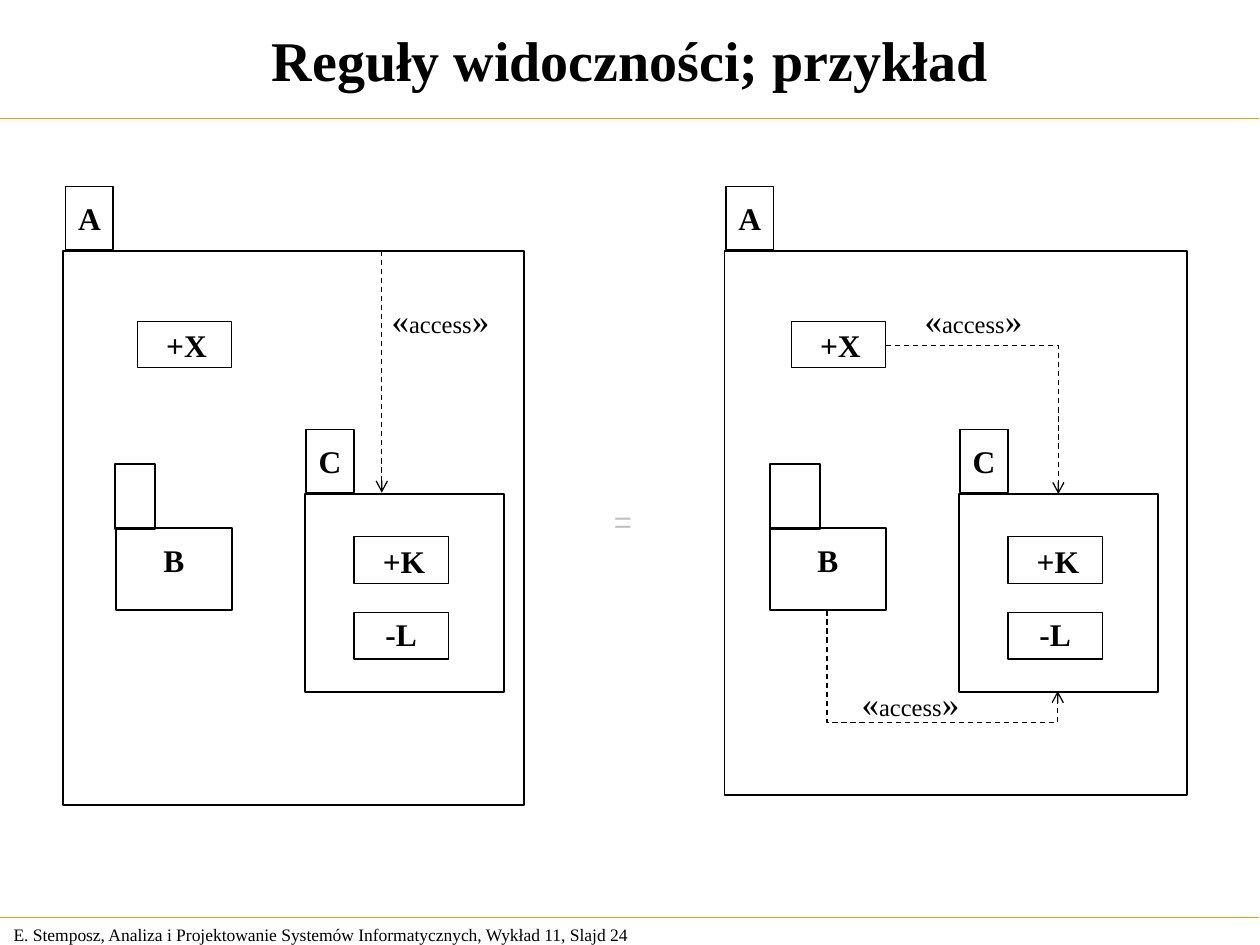
from pptx import Presentation
from pptx.dml.color import RGBColor
from pptx.enum.dml import MSO_LINE
from pptx.enum.shapes import MSO_CONNECTOR, MSO_SHAPE
from pptx.enum.text import MSO_ANCHOR, MSO_AUTO_SIZE, PP_ALIGN
from pptx.oxml.ns import qn
from pptx.util import Inches, Pt
from lxml.etree import SubElement

SERIF = "Times New Roman"
BLACK, ORANGE, GREY = "000000", "FF9900", "C0C0C0"

TITLE = "Reguły widoczności; przykład"
FOOTER = "E. Stemposz, Analiza i Projektowanie Systemów Informatycznych, Wykład 11, Slajd 24"
ACCESS = [("«", 20), ("access", 14), ("»", 20)]

# Package A: tab and body of each diagram; inner elements move by "shift"
PANELS = [
    {"tab": (0.52, 1.48), "body": (0.5, 1.99, 3.66, 4.4), "shift": 0, "b_tab": (0.91, 0.32)},
    {"tab": (5.76, 1.48), "body": (5.75, 1.99, 3.67, 4.32), "shift": 5.19, "b_tab": (6.11, 0.4)},
]
TAB_SIZE = (0.38, 0.5)
CLASS_SIZE = (0.75, 0.37)
# name, box corner, label box
CLASSES = [
    ("+X", (1.09, 2.55), (1.22, 2.54, 0.52, 0.4)),
    ("+K", (2.81, 4.26), (2.94, 4.25, 0.53, 0.4)),
    ("-L", (2.81, 4.86), (2.96, 4.83, 0.45, 0.4)),
]
ACCESS_CORNERS = [(3.01, 2.32), (6.74, 5.36), (7.24, 2.32)]


def color(hex_code):
    return RGBColor.from_string(hex_code)


def write(frame, runs, bold=False, align=PP_ALIGN.LEFT, anchor=MSO_ANCHOR.TOP,
          inset=(0.1, 0.05), wrap=False, font=SERIF, ink=BLACK):
    """Fill a text frame with (text, size) runs in one paragraph."""
    frame.auto_size = MSO_AUTO_SIZE.NONE
    frame.word_wrap = wrap
    frame.vertical_anchor = anchor
    frame.margin_left = frame.margin_right = Inches(inset[0])
    frame.margin_top = frame.margin_bottom = Inches(inset[1])
    paragraph = frame.paragraphs[0]
    paragraph.alignment = align
    for text, size in runs:
        run = paragraph.add_run()
        run.text = text
        run.font.size = Pt(size)
        run.font.name = font
        run.font.bold = bold
        run.font.color.rgb = color(ink)


def label(slide, box, runs, **style):
    write(slide.shapes.add_textbox(*map(Inches, box)).text_frame, runs, **style)


def rectangle(slide, box, weight=1, name=None, anchor=MSO_ANCHOR.MIDDLE):
    shape = slide.shapes.add_shape(MSO_SHAPE.RECTANGLE, *map(Inches, box))
    shape.shadow.inherit = False
    shape.fill.background()
    shape.line.color.rgb = color(BLACK)
    shape.line.width = Pt(weight)
    if name:
        write(shape.text_frame, [(name, 18)], bold=True, align=PP_ALIGN.CENTER,
              anchor=anchor, inset=(0.1, 0.1))


def line(slide, start, end, ink=BLACK, kind=MSO_CONNECTOR.STRAIGHT):
    connector = slide.shapes.add_connector(kind, *map(Inches, start + end))
    connector.line.color.rgb = color(ink)
    connector.line.width = Pt(0.75)
    SubElement(connector._element.spPr, qn("a:effectLst"))
    return connector


def access_arrow(slide, start, end, kind=MSO_CONNECTOR.STRAIGHT):
    arrow = line(slide, start, end, kind=kind)
    arrow.line.dash_style = MSO_LINE.DASH
    SubElement(arrow.line._get_or_add_ln(), qn("a:tailEnd"), type="arrow")
    return arrow


def draw_panel(slide, panel):
    shift = panel["shift"]
    rectangle(slide, panel["tab"] + TAB_SIZE, name="A")
    rectangle(slide, panel["body"])

    b_left, b_width = panel["b_tab"]
    rectangle(slide, (b_left, 3.68, b_width, 0.52))
    rectangle(slide, (0.92 + shift, 4.19, 0.92, 0.65), name="B", anchor=MSO_ANCHOR.TOP)

    rectangle(slide, (2.43 + shift, 3.41) + TAB_SIZE, name="C")
    rectangle(slide, (2.42 + shift, 3.92, 1.58, 1.57))

    for name, (x, y), (text_x, *text_rest) in CLASSES:
        rectangle(slide, (x + shift, y) + CLASS_SIZE, weight=0.75)
        label(slide, (text_x + shift, *text_rest), [(name, 18)], bold=True)


def draw_access(slide):
    access_arrow(slide, (3.03, 1.99), (3.03, 3.91))

    x_to_c = access_arrow(slide, (7.03, 2.74), (8.4, 3.92), MSO_CONNECTOR.ELBOW)
    x_to_c._element.spPr.find(qn("a:prstGeom")).set("prst", "bentConnector2")

    # Leaves B downwards, passes below C and enters it from underneath
    b_to_c = access_arrow(slide, (7.16, 4.25), (7.8, 6.08), MSO_CONNECTOR.ELBOW)
    b_to_c._element.spPr.xfrm.set("flipH", "1")
    b_to_c._element.spPr.xfrm.set("rot", str(270 * 60000))
    adjustments = b_to_c._element.spPr.find(qn("a:prstGeom")).find(qn("a:avLst"))
    SubElement(adjustments, qn("a:gd"), name="adj1", fmla="val 139000")

    for corner in ACCESS_CORNERS:
        label(slide, corner + (0.97, 0.44), ACCESS)


def main():
    deck = Presentation()
    deck.slide_width, deck.slide_height = Inches(10), Inches(7.5)
    slide = deck.slides.add_slide(deck.slide_layouts[5])

    title = slide.shapes.title
    title.left, title.top, title.width, title.height = map(Inches, (0.04, 0.04, 9.92, 0.85))
    write(title.text_frame, [(TITLE, 32)], bold=True, align=PP_ALIGN.CENTER,
          anchor=MSO_ANCHOR.MIDDLE, wrap=True)

    label(slide, (0.01, 7.28, 5.24, 0.27), [(FOOTER, 10)], anchor=MSO_ANCHOR.MIDDLE)
    for y in (0.94, 7.28):
        line(slide, (-0.01, y), (9.99, y), ink=ORANGE)

    for panel in PANELS:
        draw_panel(slide, panel)
    draw_access(slide)
    label(slide, (4.85, 3.94, 0.19, 0.4), [("=", 20)], align=PP_ALIGN.CENTER,
          anchor=MSO_ANCHOR.MIDDLE, inset=(0, 0), font="Montserrat", ink=GREY)

    deck.save("out.pptx")


if __name__ == "__main__":
    main()
